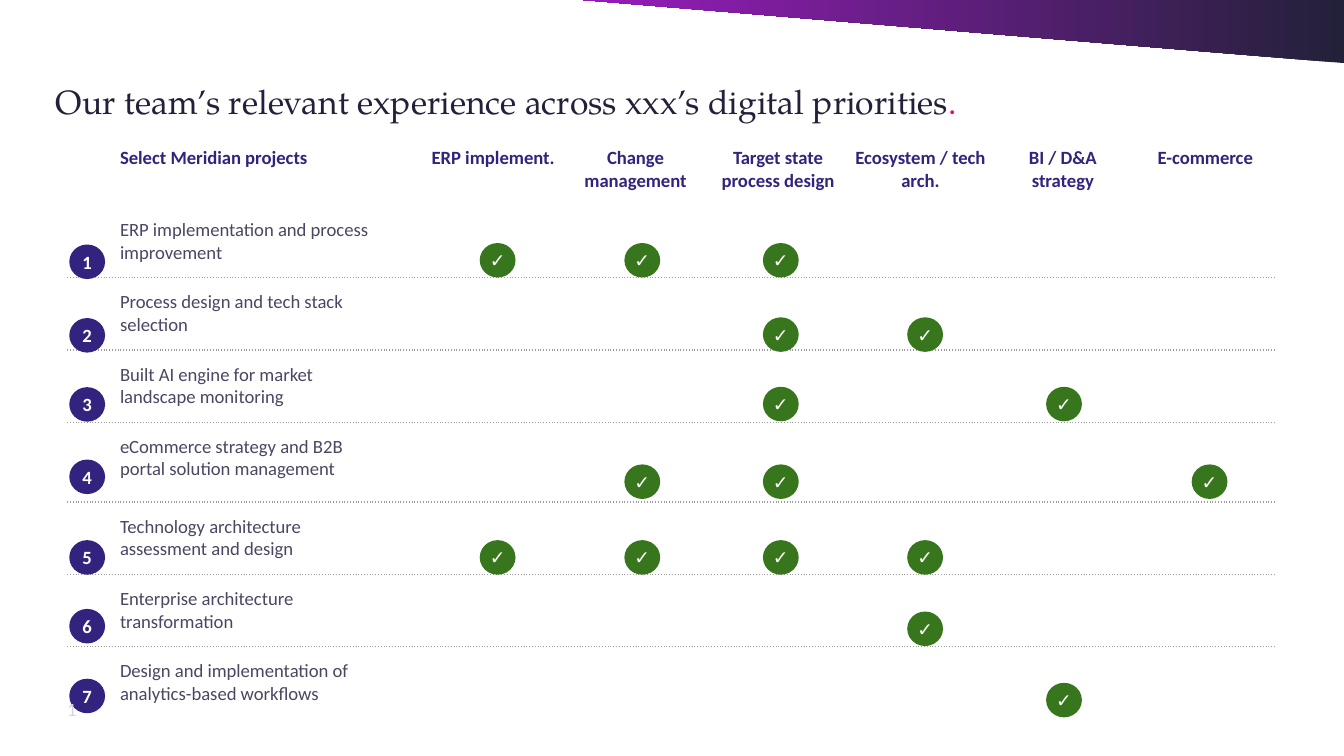
from dataclasses import dataclass

from lxml.etree import SubElement
from pptx import Presentation
from pptx.dml.color import RGBColor
from pptx.enum.shapes import MSO_SHAPE
from pptx.enum.text import MSO_ANCHOR, MSO_AUTO_SIZE, PP_ALIGN
from pptx.oxml import parse_xml
from pptx.oxml.ns import nsdecls, qn
from pptx.slide import Slide
from pptx.table import _Cell
from pptx.text.text import TextFrame, _Paragraph
from pptx.util import Pt

INDIGO, GREEN, NAVY, PURPLE = "34237E", "38761D", "23213A", "981CBC"
GREY_TEXT, PINK, LILAC, RULE, WHITE = "4B4662", "E90A6D", "D6D0E8", "9E9E9E", "FFFFFF"
BODY_FONT, TITLE_FONT = "Calibri", "TeX Gyre Pagella"
NO_GRID_STYLE = "{2D5ABB26-0587-4C30-8999-92F81FD0307C}"

TABLE_LEFT, TABLE_TOP, TABLE_WIDTH = 36, 71.4, 648
LEADING_WIDTHS = [26, 144, 20]
ROW_HEIGHT, TALL_ROW, TALL_ROW_HEIGHT = 38.6, 4, 42.8
CIRCLE_WIDTH, CIRCLE_HEIGHT = 19.2, 18.5
NUMBER_LEFT = 37.1


@dataclass(frozen=True)
class Priority:
    heading: tuple[str, ...]
    check_left: float


@dataclass(frozen=True)
class Project:
    name: str
    number_top: float
    check_top: float
    checked: tuple[int, ...]


PRIORITIES = [
    Priority(("ERP implement.",), 257),
    Priority(("Change management",), 334.5),
    Priority(("Target state process design",), 408.7),
    Priority(("Ecosystem / tech arch.",), 486),
    Priority(("BI / D&A", "strategy"), 560.4),
    Priority(("E-commerce",), 638.4),
]

PROJECTS = [
    Project("ERP implementation and process improvement", 131, 130.2, (0, 1, 2)),
    Project("Process design and tech stack selection", 170.4, 170, (2, 3)),
    Project("Built AI engine for market landscape monitoring", 207.4, 207.2, (2, 4)),
    Project("eCommerce strategy and B2B portal solution management", 246.2, 248.8, (1, 2, 5)),
    Project("Technology architecture assessment and design", 289.4, 289.4, (0, 1, 2, 3)),
    Project("Enterprise architecture transformation", 326.2, 327.6, (3,)),
    Project("Design and implementation of analytics-based workflows", 363.6, 365.8, (4,)),
]


def color(value: str) -> RGBColor:
    return RGBColor.from_string(value)


def add_run(paragraph: _Paragraph, text: str, hex_color: str, size: float = 10,
            font: str = BODY_FONT, bold: bool = False) -> None:
    run = paragraph.add_run()
    run.text = text
    run.font.name = font
    run.font.size = Pt(size)
    run.font.bold = bold
    run.font.color.rgb = color(hex_color)


def set_margins(frame: TextFrame, horizontal: float = 0, vertical: float = 0) -> None:
    frame.margin_left = frame.margin_right = Pt(horizontal)
    frame.margin_top = frame.margin_bottom = Pt(vertical)


def add_title(slide: Slide) -> None:
    title = slide.shapes.title
    title.left, title.top, title.width, title.height = Pt(30), Pt(43.2), Pt(612), Pt(24.5)
    frame = title.text_frame
    set_margins(frame)
    frame.word_wrap = True
    frame.auto_size = MSO_AUTO_SIZE.NONE
    frame.vertical_anchor = MSO_ANCHOR.TOP
    paragraph = frame.paragraphs[0]
    paragraph.alignment = PP_ALIGN.LEFT
    add_run(paragraph, "Our team’s relevant experience across xxx’s digital priorities",
            NAVY, 18, TITLE_FONT)
    add_run(paragraph, ".", PINK, 18, TITLE_FONT)


def add_banner(slide: Slide) -> None:
    banner = slide.shapes.add_shape(MSO_SHAPE.RIGHT_TRIANGLE, Pt(312.5), 0, Pt(407.5), Pt(33.8))
    banner.rotation = 180
    banner.shadow.inherit = False
    banner.line.fill.background()
    banner.fill.gradient()
    banner.fill.gradient_angle = 0
    for stop, position, hex_color in zip(banner.fill.gradient_stops, (0, 1), (NAVY, PURPLE)):
        stop.position = position
        stop.color.rgb = color(hex_color)


def add_circle(slide: Slide, left: float, top: float, text: str, fill: str) -> None:
    circle = slide.shapes.add_shape(MSO_SHAPE.OVAL, Pt(left), Pt(top),
                                    Pt(CIRCLE_WIDTH), Pt(CIRCLE_HEIGHT))
    circle.shadow.inherit = False
    circle.fill.solid()
    circle.fill.fore_color.rgb = color(fill)
    circle.line.fill.background()
    frame = circle.text_frame
    set_margins(frame, vertical=7.2)
    frame.vertical_anchor = MSO_ANCHOR.MIDDLE
    paragraph = frame.paragraphs[0]
    paragraph.alignment = PP_ALIGN.CENTER
    add_run(paragraph, text, WHITE, bold=True)


def fill_cell(cell: _Cell, lines: tuple[str, ...], hex_color: str, bold: bool,
              alignment: PP_ALIGN = PP_ALIGN.LEFT) -> None:
    for index, line in enumerate(lines):
        frame = cell.text_frame
        paragraph = frame.add_paragraph() if index else frame.paragraphs[0]
        paragraph.alignment = alignment
        add_run(paragraph, line, hex_color, bold=bold)


def add_dotted_bottom(cell: _Cell) -> None:
    properties = cell._tc.get_or_add_tcPr()
    border = parse_xml(f'<a:lnB {nsdecls("a")} w="{Pt(0.75)}"/>')
    fill = SubElement(border, qn("a:solidFill"))
    SubElement(fill, qn("a:srgbClr"), val=RULE)
    SubElement(border, qn("a:prstDash"), val="dot")
    properties.insert(0, border)


def add_project_table(slide: Slide) -> None:
    row_count = len(PROJECTS) + 1
    heights = [TALL_ROW_HEIGHT if row == TALL_ROW else ROW_HEIGHT for row in range(row_count)]
    priority_width = (TABLE_WIDTH - sum(LEADING_WIDTHS)) / len(PRIORITIES)
    widths = LEADING_WIDTHS + [priority_width] * len(PRIORITIES)
    frame = slide.shapes.add_table(row_count, len(widths), Pt(TABLE_LEFT), Pt(TABLE_TOP),
                                   Pt(TABLE_WIDTH), Pt(sum(heights)))
    table = frame.table
    table.first_row = table.horz_banding = False
    table._tbl.tblPr.find(qn("a:tableStyleId")).text = NO_GRID_STYLE
    for column, width in zip(table.columns, widths):
        column.width = Pt(width)
    for index, (row, height) in enumerate(zip(table.rows, heights)):
        row.height = Pt(height)
        for cell in row.cells:
            set_margins(cell, 2.3, 7.2)
            cell.fill.background()
            if 0 < index < row_count - 1:
                add_dotted_bottom(cell)

    fill_cell(table.cell(0, 1), ("Select Meridian projects",), INDIGO, True)
    for column, priority in enumerate(PRIORITIES, start=len(LEADING_WIDTHS)):
        fill_cell(table.cell(0, column), priority.heading, INDIGO, True, PP_ALIGN.CENTER)
    for row, project in enumerate(PROJECTS, start=1):
        fill_cell(table.cell(row, 1), (project.name,), GREY_TEXT, False)


def add_page_number(slide: Slide) -> None:
    frame = slide.shapes.add_textbox(Pt(36), Pt(373), Pt(43.2), Pt(13.7)).text_frame
    set_margins(frame)
    frame.word_wrap = True
    frame.vertical_anchor = MSO_ANCHOR.MIDDLE
    add_run(frame.paragraphs[0], "1", LILAC)


def main() -> None:
    presentation = Presentation()
    presentation.slide_width, presentation.slide_height = Pt(720), Pt(405)
    slide = presentation.slides.add_slide(presentation.slide_layouts[5])
    add_project_table(slide)
    add_title(slide)
    add_banner(slide)
    for number, project in enumerate(PROJECTS, start=1):
        add_circle(slide, NUMBER_LEFT, project.number_top, str(number), INDIGO)
        for index in project.checked:
            add_circle(slide, PRIORITIES[index].check_left, project.check_top, "✓", GREEN)
    add_page_number(slide)
    presentation.save("out.pptx")


if __name__ == "__main__":
    main()
